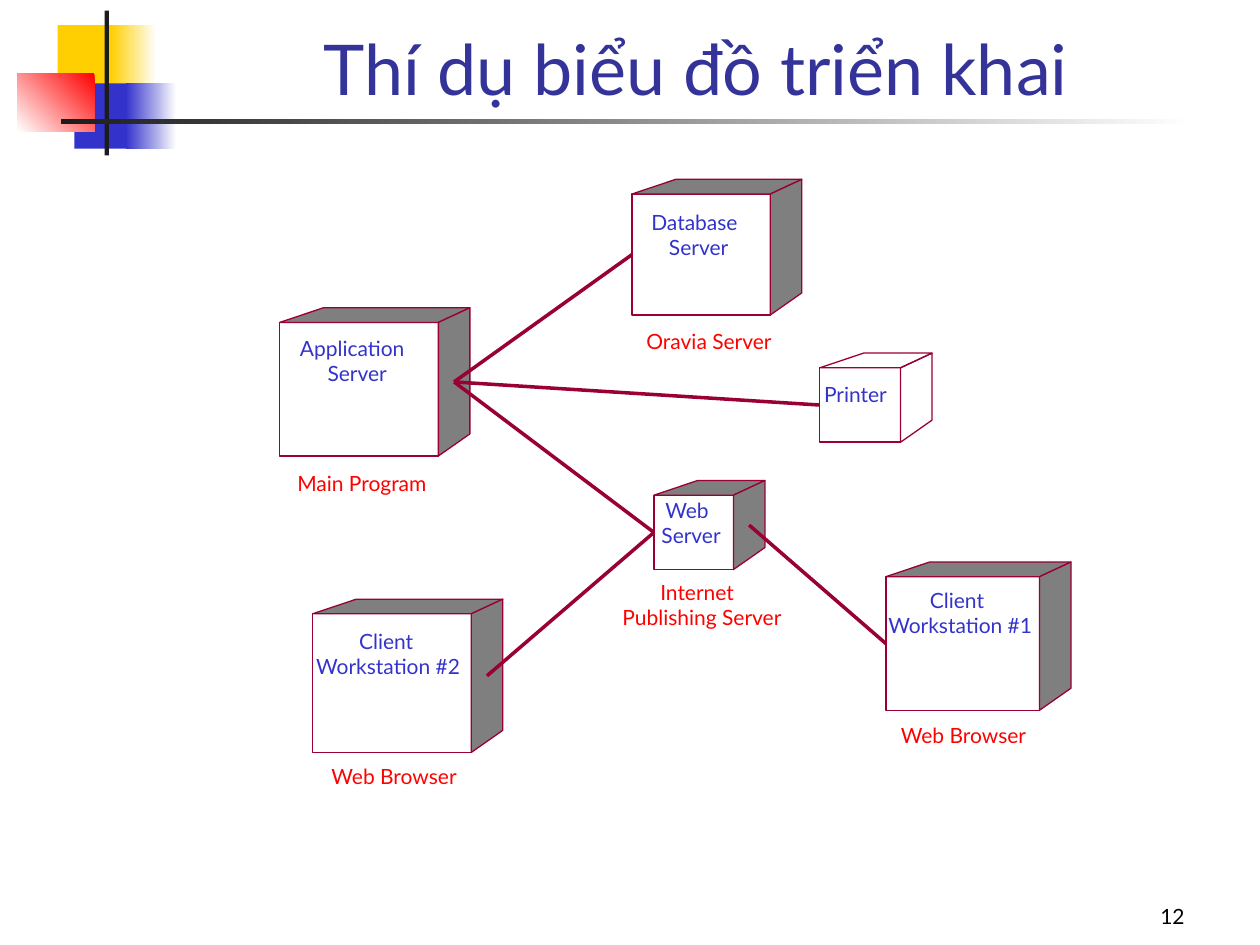
from dataclasses import dataclass
from pptx import Presentation
from pptx import util as u
from pptx.dml.color import RGBColor
from pptx.enum import shapes, text
from pptx.oxml import parse_xml
from pptx.oxml.ns import nsdecls


@dataclass(frozen=True)
class Theme:
    font: str = "Lato"
    head: int = 40
    body: int = 12
    title: str = "333399"
    node: str = "3333CC"
    note: str = "FF0000"
    edge: str = "990033"
    shade: str = "7F7F7F"
    gold: str = "FFCF01"
    blue: str = "3333CC"
    red: str = "FF0000"
    dark: str = "1C1C1C"
    white: str = "FFFFFF"
    black: str = "000000"


T = Theme()
ALIGN, ANCHOR = text.PP_ALIGN, text.MSO_ANCHOR
STEP = 14.4                       # distance between label lines
SLANT, DEPTH, RISE, DROP = 25, 18, 8.4, 12.6   # cube perspective


def rgb(code):
    return RGBColor.from_string(code)


def paint(shape, fill=None, line=None):
    shape.shadow.inherit = False
    if fill:
        shape.fill.solid()
        shape.fill.fore_color.rgb = rgb(fill)
    else:
        shape.fill.background()
    if line:
        shape.line.color.rgb = rgb(line)
        shape.line.width = u.Pt(0)
    else:
        shape.line.fill.background()


def rect(slide, box, fill=None, line=None):
    shape = slide.shapes.add_shape(shapes.MSO_SHAPE.RECTANGLE, *map(u.Pt, box))
    paint(shape, fill, line)
    return shape


def fade(slide, box, start, end, angle=180):
    fill = rect(slide, box).fill
    fill.gradient()
    fill.gradient_angle = angle
    for stop, code in zip(fill.gradient_stops, (start, end)):
        stop.color.rgb = rgb(code)


def face(slide, points, fill):
    spots = [(u.Pt(x), u.Pt(y)) for x, y in points]
    form = slide.shapes.build_freeform(*spots[0])
    form.add_line_segments(spots[1:], close=True)
    paint(form.convert_to_shape(), fill, T.edge)


def cube(slide, box, fill):
    """Draw a node; return its front and the middle of its right face."""
    x, y, w, h = box
    front = rect(slide, box, line=T.edge)
    right, back, top = x + w, x + w + DEPTH, y - RISE
    face(slide, [(x, y), (x + SLANT, top), (back, top), (right, y)], fill)
    face(slide, [(right, y), (back, top), (back, y + h - DROP),
                 (right, y + h)], fill)
    return front, (right + DEPTH / 2, (top + y + h) / 2)


def write(slide, box, words, color, size=T.body, align=ALIGN.LEFT, pad=False):
    frame = slide.shapes.add_textbox(*map(u.Pt, box)).text_frame
    frame.word_wrap = pad
    if pad:
        frame.vertical_anchor = ANCHOR.BOTTOM
    else:
        frame.margin_left = frame.margin_right = 0
        frame.margin_top = frame.margin_bottom = 0
    para = frame.paragraphs[0]
    para.alignment = align
    run = para.add_run()
    run.text = words
    run.font.name, run.font.size = T.font, u.Pt(size)
    run.font.color.rgb = rgb(color)


def label(slide, top, lines, color):
    for row, (left, width, words) in enumerate(lines):
        write(slide, (left, top + row * STEP, width, STEP), words, color)


def link(slide, start, front):
    """Run a line from a point to the left side of a node."""
    x, y = map(u.Pt, start)
    line = slide.shapes.add_connector(shapes.MSO_CONNECTOR.STRAIGHT, x, y, x, y)
    line.end_connect(front, 1)
    line.line.color.rgb = rgb(T.edge)
    line.line.width = u.Pt(0)
    line._element.spPr.append(parse_xml(f"<a:effectLst {nsdecls('a')}/>"))


def decor(slide):
    rect(slide, (33, 14.4, 34.6, 37.4), T.gold)
    fade(slide, (63.4, 14.4, 26, 37.4), T.white, T.gold)
    rect(slide, (42.5, 47.6, 33, 37.4), T.blue)
    fade(slide, (72, 47.6, 28.8, 37.4), T.white, T.blue)
    fade(slide, (10, 41.8, 44, 33.2), T.red, T.white, 225)
    rect(slide, (59.8, 6, 2.4, 82.8), T.dark)
    fade(slide, (34.8, 68.2, 648, 2.4), T.white, T.dark)


# name: front box, fill of the other faces, label top, label lines
NODES = {
    "app": ((159.8, 184.3, 90.7, 76.3), T.shade, 191.5,
            [(171.4, 66.2, "Application"), (187.2, 36, "Server")]),
    "data": ((361.2, 110.9, 79, 69.1), T.shade, 119.5,
             [(372.2, 56.2, "Database"), (382.3, 36, "Server")]),
    "web": ((373.7, 283, 45.4, 42.5), T.shade, 284.4,
            [(380.2, 28.8, "Web"), (378, 36, "Server")]),
    "one": ((506.2, 329.6, 87.8, 76.3), T.shade, 335.5,
            [(531.4, 35.3, "Client"), (507.6, 86.4, "Workstation #1")]),
    "two": ((178.6, 350.8, 90.7, 79.2), T.shade, 359.3,
            [(205.2, 35.3, "Client"), (180.7, 86.4, "Workstation #2")]),
    "print": ((468.5, 210.2, 46.1, 42.5), None, 218.2,
              [(470.9, 38.9, "Printer")]),
}
LINKS = [("app", "data"), ("app", "print"), ("app", "web"),
         ("two", "web"), ("web", "one")]
NOTES = [
    (187.9, [(369.4, 76.3, "Oravia Server")]),
    (268.6, [(169.9, 81.4, "Main Program")]),
    (331.2, [(377.3, 49, "Internet"), (355.7, 107.3, "Publishing Server")]),
    (412.6, [(514.8, 75.6, "Web Browser")]),
    (436.3, [(189.4, 75.6, "Web Browser")]),
]


def main():
    deck = Presentation()
    deck.slide_width, deck.slide_height = u.Pt(720), u.Pt(540)
    slide = deck.slides.add_slide(deck.slide_layouts[6])

    # Corner ornament and title
    decor(slide)
    write(slide, (90.7, 5.8, 613.4, 60.5), "Thí dụ biểu đồ triển khai",
          T.title, T.head, ALIGN.CENTER, pad=True)

    # Nodes with their names
    fronts, hubs = {}, {}
    for name, (box, fill, top, lines) in NODES.items():
        fronts[name], hubs[name] = cube(slide, box, fill)
        label(slide, top, lines, T.node)

    # Links between nodes
    for start, end in LINKS:
        link(slide, hubs[start], fronts[end])

    # Captions and page number
    for top, lines in NOTES:
        label(slide, top, lines, T.note)
    write(slide, (534.2, 498.2, 149.8, 36), "12", T.black,
          align=ALIGN.RIGHT, pad=True)

    deck.save("out.pptx")


if __name__ == "__main__":
    main()
